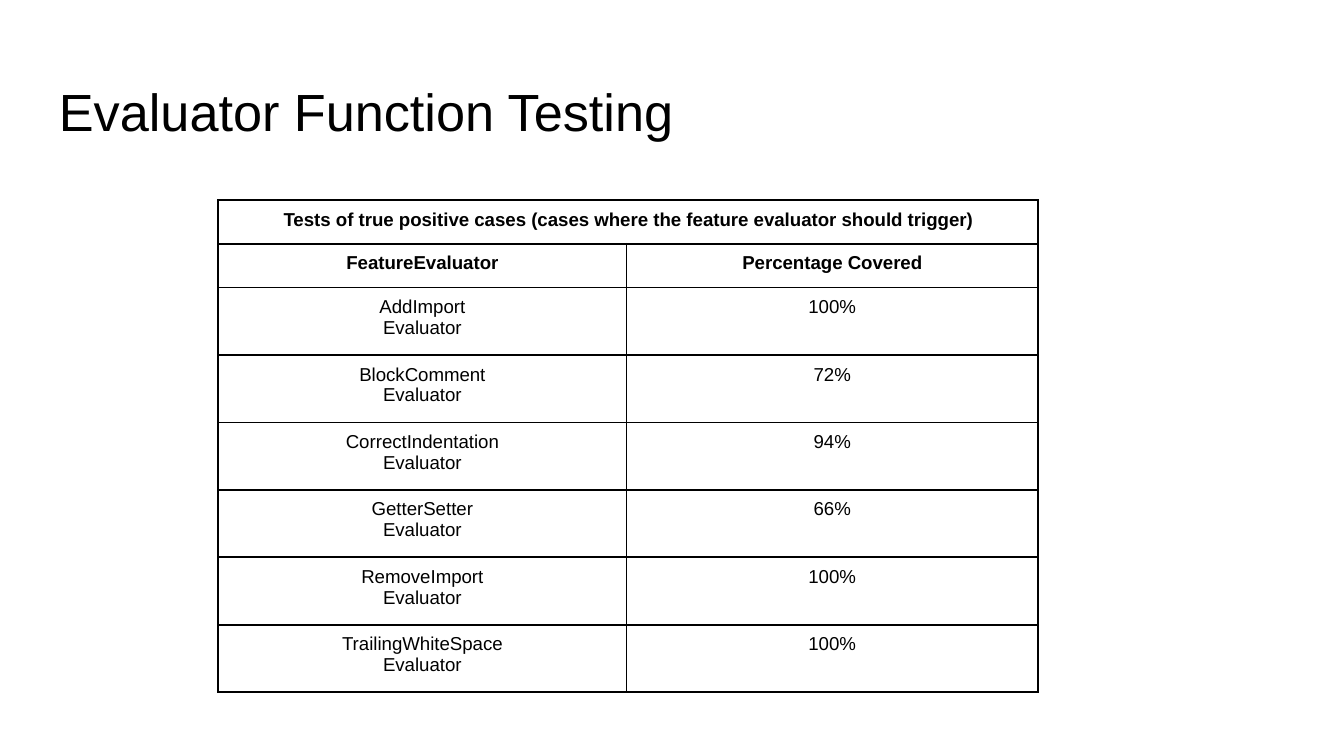
from typing import NamedTuple

from lxml.etree import SubElement
from pptx import Presentation
from pptx.dml.color import RGBColor
from pptx.enum.text import MSO_ANCHOR, PP_ALIGN
from pptx.oxml.ns import qn
from pptx.util import Pt

BLACK = RGBColor(0, 0, 0)
FONT = "Arial"
COL_WIDTHS = (218.9, 220.3)
HEADER_HEIGHT, ROW_HEIGHT = 23.4, 36.15
CELL_MARGIN = 5


class Coverage(NamedTuple):
    feature: str
    percentage: str


TABLE_TITLE = "Tests of true positive cases (cases where the feature evaluator should trigger)"
COLUMN_HEADS = ("FeatureEvaluator", "Percentage Covered")
COVERAGES = (
    Coverage("AddImport", "100%"),
    Coverage("BlockComment", "72%"),
    Coverage("CorrectIndentation", "94%"),
    Coverage("GetterSetter", "66%"),
    Coverage("RemoveImport", "100%"),
    Coverage("TrailingWhiteSpace", "100%"),
)


def write_text(tf, text: str, size: float, bold: bool = False, align=PP_ALIGN.LEFT) -> None:
    """Write one paragraph per line of text."""
    for i, line in enumerate(text.split("\n")):
        p = tf.add_paragraph() if i else tf.paragraphs[0]
        p.alignment = align
        r = p.add_run()
        r.text = line
        r.font.color.rgb = BLACK
        for name, value in {"name": FONT, "size": Pt(size), "bold": bold}.items():
            setattr(r.font, name, value)


def set_borders(cell) -> None:
    """Give the cell a thin black line on all four sides."""
    tc_pr = cell._tc.get_or_add_tcPr()
    for i, side in enumerate(("a:lnL", "a:lnR", "a:lnT", "a:lnB")):
        ln = SubElement(tc_pr, qn(side), w=str(Pt(1)))
        fill = SubElement(ln, qn("a:solidFill"))
        SubElement(fill, qn("a:srgbClr"), val=str(BLACK))
        tc_pr.insert(i, ln)


def add_title(s, text: str) -> None:
    tf = s.shapes.add_textbox(Pt(24.5), Pt(35.3), Pt(671), Pt(45.4)).text_frame
    margins = dict.fromkeys(("margin_left", "margin_right", "margin_top", "margin_bottom"), Pt(7.2))
    for name, value in {**margins, "word_wrap": True, "vertical_anchor": MSO_ANCHOR.TOP}.items():
        setattr(tf, name, value)
    write_text(tf, text, 28)


def add_coverage_table(s) -> None:
    rows = [(TABLE_TITLE, ""), COLUMN_HEADS]
    rows += [(f"{c.feature}\nEvaluator", c.percentage) for c in COVERAGES]
    heights = [HEADER_HEIGHT] * 2 + [ROW_HEIGHT] * len(COVERAGES)
    table = s.shapes.add_table(
        len(rows), len(COL_WIDTHS), Pt(116.8), Pt(107.2), Pt(sum(COL_WIDTHS)), Pt(sum(heights))
    ).table
    table.first_row = table.horz_banding = False
    for column, width in zip(table.columns, COL_WIDTHS):
        column.width = Pt(width)
    margins = dict.fromkeys(
        ("margin_left", "margin_right", "margin_top", "margin_bottom"), Pt(CELL_MARGIN)
    )
    for i, (texts, height) in enumerate(zip(rows, heights)):
        table.rows[i].height = Pt(height)
        for cell, text in zip(table.rows[i].cells, texts):
            for name, value in margins.items():
                setattr(cell, name, value)
            cell.fill.background()
            set_borders(cell)
            if text:
                write_text(cell.text_frame, text, 10, bold=i < 2, align=PP_ALIGN.CENTER)
    table.cell(0, 0).merge(table.cell(0, 1))


def main() -> None:
    prs = Presentation()
    prs.slide_width, prs.slide_height = Pt(720), Pt(405)
    s = prs.slides.add_slide(prs.slide_layouts[6])
    add_title(s, "Evaluator Function Testing")
    add_coverage_table(s)
    prs.save("out.pptx")


if __name__ == "__main__":
    main()
